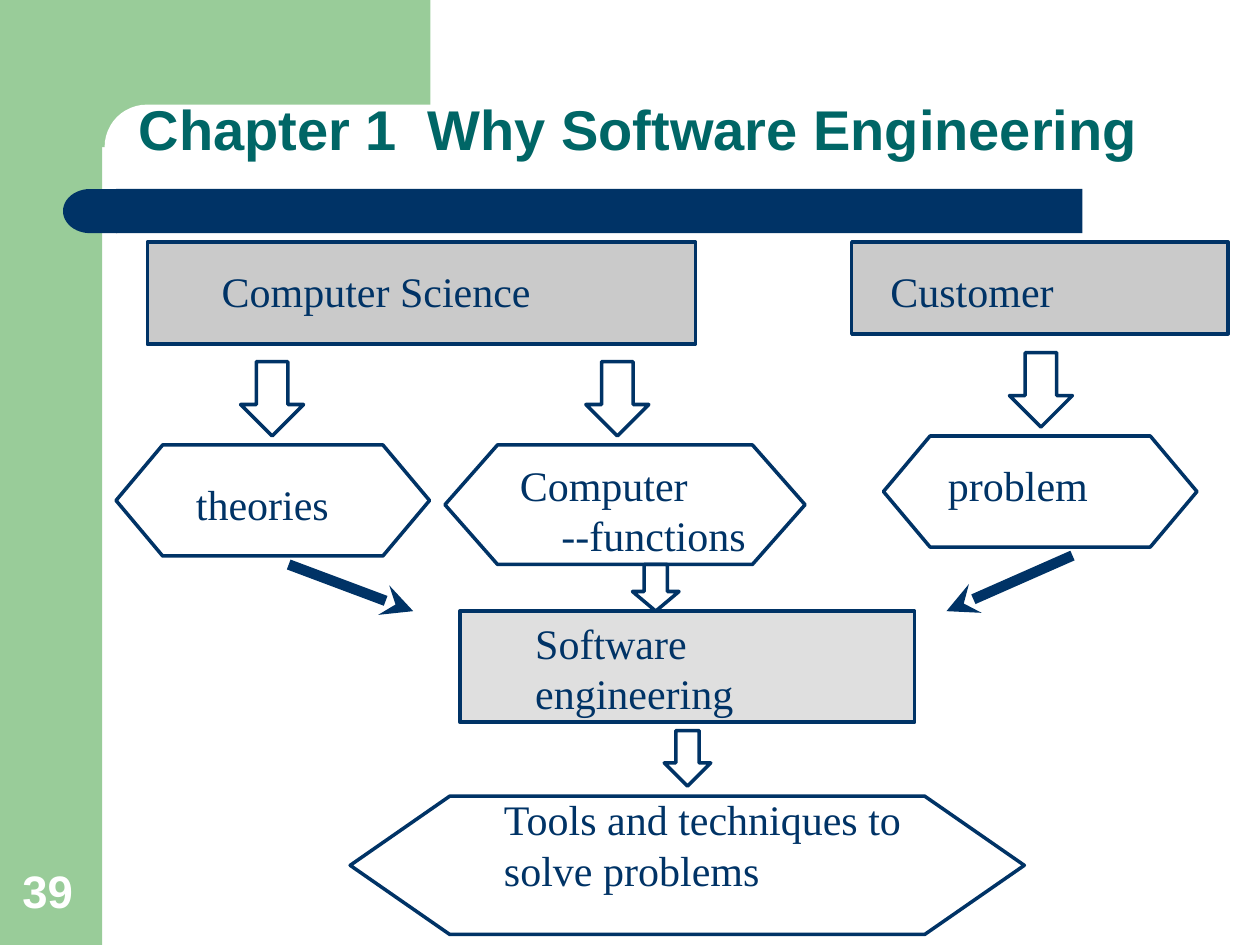
"""Build the "Why Software Engineering" flow diagram slide."""
from lxml.etree import SubElement
from pptx import Presentation
from pptx.dml.color import RGBColor
from pptx.enum.shapes import MSO_CONNECTOR, MSO_SHAPE
from pptx.enum.text import MSO_ANCHOR, PP_ALIGN
from pptx.oxml.ns import qn
from pptx.util import Cm, Pt

GREEN = RGBColor(0x99, 0xCC, 0x99)
NAVY = RGBColor(0x00, 0x33, 0x66)
TEAL = RGBColor(0x00, 0x66, 0x66)
WHITE = RGBColor(0xFF, 0xFF, 0xFF)
GRAY = RGBColor(0x96, 0x96, 0x96)
SILVER = RGBColor(0xC0, 0xC0, 0xC0)


def add_shape(kind, box, fill=None, outlined=False, adj=()):
    sp = s.shapes.add_shape(kind, *[Cm(v) for v in box])
    sp.shadow.inherit = False
    for i, value in enumerate(adj):
        sp.adjustments[i] = value
    if fill is None:
        sp.fill.background()
    else:
        sp.fill.solid()
        sp.fill.fore_color.rgb = fill
    if outlined:
        sp.line.color.rgb = NAVY
        sp.line.width = Pt(2)
    else:
        sp.line.fill.background()
    return sp


def add_run(p, text, size, color, font, bold=False):
    r = p.add_run()
    r.text = text
    r.font.size = Pt(size)
    r.font.color.rgb = color
    r.font.name = font
    r.font.bold = bold


prs = Presentation()
prs.slide_width, prs.slide_height = Cm(25.4), Cm(19.05)
s = prs.slides.add_slide(prs.slide_layouts[5])

add_shape(MSO_SHAPE.RECTANGLE, (0, 0, 2.06, 19.05), GREEN)
add_shape(MSO_SHAPE.RECTANGLE, (1.85, 0, 6.83, 2.97), GREEN)
add_shape(MSO_SHAPE.ROUNDED_RECTANGLE, (2.11, 2.11, 14.17, 1.7), WHITE, adj=[0.5])
add_shape(MSO_SHAPE.ROUNDED_RECTANGLE, (2.34, 3.81, 19.48, 0.89), NAVY, adj=[0])
cap = add_shape(MSO_SHAPE.FLOWCHART_DELAY, (1.27, 3.81, 1.09, 0.89), NAVY)
cap.rotation = 180

number = s.shapes.add_textbox(Cm(0.2), Cm(17.27), Cm(1.63), Cm(1.35))
number.text_frame.word_wrap = True
number.text_frame.vertical_anchor = MSO_ANCHOR.BOTTOM
add_run(number.text_frame.paragraphs[0], "39", 26, WHITE, "Arial", True)

title = s.shapes.title
title.left, title.top, title.width, title.height = Cm(2.54), Cm(1.4), Cm(22.23), Cm(2.01)
title.text_frame.vertical_anchor = MSO_ANCHOR.BOTTOM
p = title.text_frame.paragraphs[0]
p.alignment = PP_ALIGN.LEFT
p.line_spacing = 0.9
add_run(p, "Chapter 1  Why Software Engineering", 32, TEAL, "Arial", True)
title.element.getparent().append(title.element)

for box, color in [
    ((2.97, 4.88, 11.05, 2.06), GRAY),
    ((17.17, 4.88, 7.59, 1.85), GRAY),
    ((9.27, 12.32, 9.17, 2.24), SILVER),
]:
    sp = add_shape(MSO_SHAPE.RECTANGLE, box, color, True)
    clr = sp.element.spPr.find(qn("a:solidFill")).find(qn("a:srgbClr"))
    SubElement(clr, qn("a:alpha")).set("val", "50000")

for box, head in [
    ((11.81, 7.29, 1.27, 1.5), 0.5),
    ((4.85, 7.29, 1.27, 1.5), 0.5),
    ((20.35, 7.11, 1.27, 1.5), 0.5),
    ((12.75, 11.38, 0.94, 0.94), 0.42),
    ((13.39, 14.73, 0.94, 1.12), 0.5),
]:
    add_shape(MSO_SHAPE.DOWN_ARROW, box, None, True, [0.5, head])

for box, inset in [
    ((2.34, 8.97, 6.32, 2.24), 0.42),
    ((8.97, 8.97, 7.26, 2.41), 0.44),
    ((17.81, 8.79, 6.32, 2.24), 0.42),
    ((7.06, 16.05, 13.59, 2.79), 0.72),
]:
    add_shape(MSO_SHAPE.HEXAGON, box, None, True, [inset])

for box, lines in [
    ((4.22, 5.23, 9.8, 1.27), [("Computer Science", 0)]),
    ((17.5, 5.23, 6.63, 1.27), [("Customer", 0.2)]),
    ((3.28, 9.53, 5.69, 1.27), [("theories", 0.42)]),
    ((9.6, 9.14, 5.99, 2.29), [("Computer", 0.63), ("--functions", 1.47)]),
    ((18.44, 9.14, 5.38, 1.27), [("problem", 0.42)]),
    ((10.54, 12.32, 7.5, 2.29), [("Software engineering", 0)]),
    ((9.91, 15.88, 10.44, 2.29), [("Tools and techniques to solve problems", 0)]),
]:
    tf = s.shapes.add_textbox(*[Cm(v) for v in box]).text_frame
    tf.word_wrap = True
    for i, (text, indent) in enumerate(lines):
        p = tf.add_paragraph() if i else tf.paragraphs[0]
        p._p.get_or_add_pPr().set("marL", str(Cm(indent)))
        add_run(p, text, 24, NAVY, "Times New Roman")

for ends in [(21.62, 11.2, 19.08, 12.32), (5.82, 11.38, 8.33, 12.32)]:
    arrow = s.shapes.add_connector(MSO_CONNECTOR.STRAIGHT, *[Cm(v) for v in ends])
    arrow.line.color.rgb = NAVY
    arrow.line.width = Pt(6)
    SubElement(arrow.line._get_or_add_ln(), qn("a:tailEnd")).set("type", "stealth")
    SubElement(arrow.element.spPr, qn("a:effectLst"))

prs.save("out.pptx")
